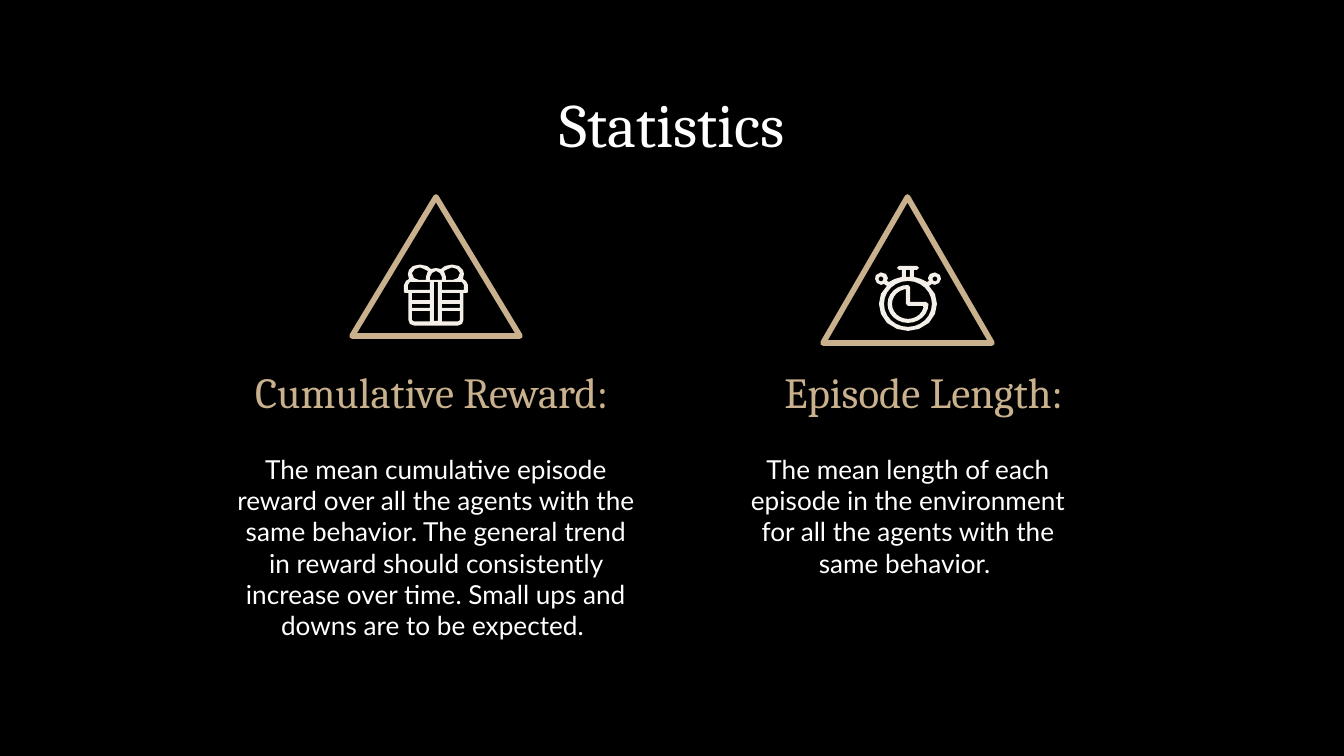
from dataclasses import dataclass
from math import cos, radians, sin

from lxml.etree import SubElement
from pptx import Presentation
from pptx.dml.color import RGBColor
from pptx.enum.shapes import MSO_SHAPE
from pptx.enum.text import MSO_ANCHOR, PP_ALIGN
from pptx.oxml.ns import qn
from pptx.util import Emu, Pt

BLACK = RGBColor(0x00, 0x00, 0x00)
WHITE = RGBColor(0xFF, 0xFF, 0xFF)
GOLD = RGBColor(0xC9, 0xB1, 0x8E)
CREAM = RGBColor(0xF4, 0xEF, 0xE8)
SERIF, SANS = "Cambria", "Lato"
SCALE = 914400 / 134.4
INSET = 13

Points = list[tuple[float, float]]


def px(n: float) -> Emu:
    return Emu(round(n * SCALE))


@dataclass
class Box:
    left: int
    top: int
    width: int
    height: int

    def emu(self) -> list[Emu]:
        return [px(n) for n in (self.left, self.top, self.width, self.height)]


@dataclass
class Statistic:
    heading: str
    body: str
    triangle: Box
    heading_box: Box
    body_box: Box


STATISTICS = [
    Statistic(
        "Cumulative Reward: ",
        "The mean cumulative episode reward over all the agents with the same "
        "behavior. The general trend in reward should consistently increase "
        "over time. Small ups and downs are to be expected. ",
        Box(352, 197, 168, 139), Box(176, 353, 521, 82), Box(223, 440, 426, 149)),
    Statistic(
        "Episode Length: ",
        "The mean length of each episode in the environment for all the agents "
        "with the same behavior. ",
        Box(823, 197, 169, 146), Box(727, 353, 403, 82), Box(724, 440, 368, 149)),
]


def add_text(s, box: Box, text: str, *, size: int, font: str, color: RGBColor) -> None:
    tf = s.shapes.add_textbox(*box.emu()).text_frame
    tf.word_wrap = True
    tf.vertical_anchor = MSO_ANCHOR.TOP
    tf.margin_left = tf.margin_right = tf.margin_top = tf.margin_bottom = px(INSET)
    p = tf.paragraphs[0]
    p.alignment = PP_ALIGN.CENTER
    r = p.add_run()
    r.text = text
    r.font.size, r.font.name, r.font.color.rgb = Pt(size), font, color


def add_triangle(s, box: Box) -> None:
    sp = s.shapes.add_shape(MSO_SHAPE.ISOSCELES_TRIANGLE, *box.emu())
    sp.shadow.inherit = False
    sp.fill.background()
    sp.line.color.rgb = GOLD
    sp.line.width = Pt(3)
    SubElement(sp.line.fill._xPr, qn("a:round"))


def mirror(points: Points) -> Points:
    return [(-x, y) for x, y in reversed(points)]


def symmetric(right_half: Points) -> Points:
    return right_half + mirror(right_half)


def rect(x1: int, y1: int, x2: int, y2: int) -> Points:
    return [(x1, y1), (x2, y1), (x2, y2), (x1, y2)]


def arc(cx: int, cy: int, rx: float, ry: float, start: int = 0, end: int = 360,
        step: int = 15) -> Points:
    return [(cx + rx * cos(radians(a)), cy + ry * sin(radians(a)))
            for a in range(start, end + 1, step)]


def add_icon(s, center: float, contours: list[Points]) -> None:
    """Fill closed contours whose x values count from the icon's center."""
    builder = None
    for contour in contours:
        first, *rest = [(round((center + x) * SCALE), round(y * SCALE))
                        for x, y in contour]
        if builder is None:
            builder = s.shapes.build_freeform(*first)
        else:
            builder.move_to(*first)
        builder.add_line_segments(rest, close=True)
    sp = builder.convert_to_shape()
    sp.shadow.inherit = False
    sp.fill.solid()
    sp.fill.fore_color.rgb = CREAM
    sp.line.fill.background()


def draw_gift(s) -> None:
    outline = symmetric([
        (0, 268), (5, 269), (9, 266), (16, 264.5), (23, 266), (27, 270), (28, 274),
        (27, 279), (30, 281), (32, 285), (32, 292), (31, 293), (27.5, 293),
        (27.5, 320), (26, 324), (22, 325.5)])
    knot = symmetric([(0, 271), (4, 273), (6, 277), (6, 280)])
    ribbon = rect(-2, 282, 2, 321)
    # Openings on the right, repeated on the left
    loop = [(10, 280), (17, 280), (22, 278), (24, 273), (21, 269), (16, 267.5),
            (12, 269), (8, 271), (10, 277)]
    lid = [(6, 282), (26, 282), (28, 285), (28, 290), (6, 290)]
    stripes = [rect(6, 293, 24, 300), rect(6, 304, 24, 308)]
    base = [(6, 311), (24, 311), (24, 320), (22, 321.5), (6, 321.5)]
    openings = [loop, lid, *stripes, base]
    add_icon(s, 436, [outline, knot, ribbon, *openings, *map(mirror, openings)])


def draw_stopwatch(s) -> None:
    # Case with crown and side buttons
    case = symmetric([
        (0, 266), (9, 266), (11, 268), (9, 270), (6, 270), (6, 277), (13, 279),
        (19, 282), (21, 281), (20, 278), (22, 274), (27, 272.5), (32, 275),
        (33, 279), (31, 283), (27, 285), (24, 284), (21, 286), (27, 294),
        (29, 304), (27, 314), (21, 323), (11, 329), (0, 331)])
    button = arc(27, 279, 2.5, 2.5, step=45)
    add_icon(s, 908, [case, rect(-2, 270, 2, 277), arc(0, 304, 24, 23),
                      button, mirror(button)])
    # Dial with a quarter cut out
    rim = arc(0, 304, 20.5, 19, 0, 270) + [(2, 287), (2, 302), (18, 302)]
    face = arc(0, 304, 16, 15, 15, 255) + [(-2, 289), (-2, 304), (0, 306), (15, 306)]
    add_icon(s, 908, [rim, face])


def main() -> None:
    prs = Presentation()
    prs.slide_width, prs.slide_height = px(1344), px(756)
    s = prs.slides.add_slide(prs.slide_layouts[6])
    s.background.fill.solid()
    s.background.fill.fore_color.rgb = BLACK

    add_text(s, Box(103, 73, 1138, 97), "Statistics", size=33, font=SERIF, color=WHITE)
    for stat in STATISTICS:
        add_triangle(s, stat.triangle)
        add_text(s, stat.heading_box, stat.heading, size=23, font=SERIF, color=GOLD)
        add_text(s, stat.body_box, stat.body, size=14, font=SANS, color=WHITE)
    draw_gift(s)
    draw_stopwatch(s)

    prs.save("out.pptx")


if __name__ == "__main__":
    main()
